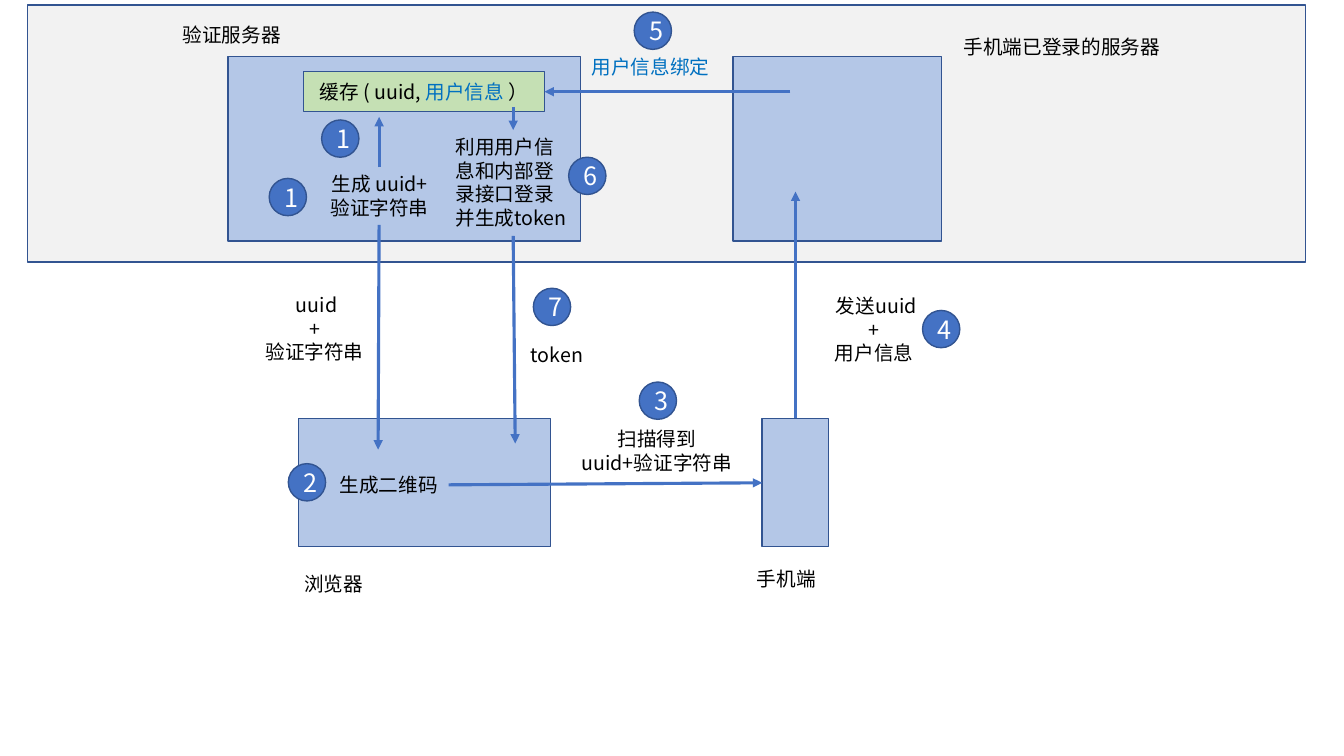
from pptx import Presentation
from pptx.dml.color import RGBColor
from pptx.enum.shapes import MSO_CONNECTOR as Connector, MSO_SHAPE as Preset
from pptx.enum.text import MSO_ANCHOR as Anchor, PP_ALIGN as Align
from pptx.oxml.ns import qn
from pptx.util import Inches, Pt
from lxml import etree

FONT = "Noto Sans CJK SC"
COLORS = {
    "zone": "F2F2F2", "box": "B4C7E7", "cache": "C5E0B4", "badge": "4472C4",
    "outline": "325491", "arrow": "4472C4", "text": "000000",
    "user": "0070C0", "number": "FFFFFF",
}

# Boxes: left, top, width, height, fill
BOXES = [
    (0.27, 0.05, 12.68, 2.55, "zone"),
    (2.26, 0.56, 3.5, 1.83, "box"),    # verification server
    (2.96, 4.15, 2.5, 1.27, "box"),    # browser
    (7.27, 0.56, 2.07, 1.83, "box"),   # logged-in server
    (7.56, 4.15, 0.66, 1.27, "box"),   # phone
]
CACHE = (3.01, 0.71, 2.39, 0.4, "cache")
CACHE_RUNS = [("缓存 ( uuid, ", "text"), ("用户信息 ", "user"), ("）", "text")]

# Labels: left, top, width, height, lines, alignment, color
LABELS = [
    (3.05, 1.66, 1.43, 0.57, ["生成 uuid+", "验证字符串"], Align.CENTER, "text"),
    (2.35, 2.86, 1.54, 0.81, [" uuid", "+", "验证字符串"], Align.CENTER, "text"),
    (3.27, 4.64, 1.18, 0.34, ["生成二维码"], Align.LEFT, "text"),
    (5.38, 4.19, 2.27, 0.57, ["扫描得到", "uuid+验证字符串"], Align.CENTER, "text"),
    (7.9, 2.87, 1.54, 0.81, [" 发送uuid", "+", "用户信息"], Align.CENTER, "text"),
    (5.77, 0.5, 1.86, 0.34, ["用户信息绑定"], Align.LEFT, "user"),
    (2.92, 5.62, 0.96, 0.34, ["浏览器"], Align.LEFT, "text"),
    (7.41, 5.58, 0.96, 0.34, ["手机端"], Align.LEFT, "text"),
    (9.46, 0.3, 2.71, 0.34, ["手机端已登录的服务器"], Align.LEFT, "text"),
    (1.08, 0.18, 2.44, 0.34, ["验证服务器"], Align.CENTER, "text"),
    (4.42, 1.29, 1.33, 1.04, ["利用用户信息和内部登录接口登录并生成token"], Align.LEFT, "text"),
    (4.88, 3.35, 1.29, 0.34, ["token"], Align.CENTER, "text"),
]

# Arrows: start x, start y, end x, end y
ARROWS = [
    (3.76, 2.23, 3.75, 4.46),
    (4.45, 4.81, 7.56, 4.79),
    (7.89, 4.15, 7.89, 1.9),
    (7.84, 0.91, 5.4, 0.91),
    (3.76, 1.66, 3.76, 1.16),
    (5.09, 1.06, 5.09, 1.29),
    (5.09, 2.34, 5.11, 4.4),
]

# Step badges: number, left, top
BADGE_SIZE = 0.37
BADGES = [
    ("1", 2.67, 1.77), ("1", 3.19, 1.19), ("2", 2.86, 4.6), ("3", 6.34, 3.79),
    ("4", 9.15, 3.08), ("5", 6.29, 0.12), ("6", 5.64, 1.56), ("7", 5.29, 2.86),
]


def color(name):
    return RGBColor.from_string(COLORS[name])


def format_run(run, size, color_name):
    run.font.size = Pt(size)
    run.font.name = FONT
    run.font.color.rgb = color(color_name)
    east_asian = etree.SubElement(run.font._element, qn("a:ea"))
    east_asian.set("typeface", FONT)


def add_box(slide, preset, left, top, width, height, fill):
    shape = slide.shapes.add_shape(
        preset, Inches(left), Inches(top), Inches(width), Inches(height))
    shape.shadow.inherit = False
    shape.fill.solid()
    shape.fill.fore_color.rgb = color(fill)
    shape.line.color.rgb = color("outline")
    shape.line.width = Pt(1)
    return shape


def add_centered_runs(shape, runs, size):
    shape.text_frame.vertical_anchor = Anchor.MIDDLE
    paragraph = shape.text_frame.paragraphs[0]
    paragraph.alignment = Align.CENTER
    for text, color_name in runs:
        run = paragraph.add_run()
        run.text = text
        format_run(run, size, color_name)


def add_label(slide, left, top, width, height, lines, alignment, color_name):
    label = slide.shapes.add_textbox(
        Inches(left), Inches(top), Inches(width), Inches(height))
    label.text_frame.word_wrap = True
    label.text_frame.text = "\n".join(lines)
    for paragraph in label.text_frame.paragraphs:
        paragraph.alignment = alignment
        for run in paragraph.runs:
            format_run(run, 14, color_name)


def add_arrow(slide, *ends):
    arrow = slide.shapes.add_connector(
        Connector.STRAIGHT, *[Inches(value) for value in ends])
    arrow.line.color.rgb = color("arrow")
    arrow.line.width = Pt(2.25)
    tail = etree.SubElement(arrow.line._get_or_add_ln(), qn("a:tailEnd"))
    tail.set("type", "triangle")
    etree.SubElement(arrow._element.spPr, qn("a:effectLst"))


def main():
    presentation = Presentation()
    presentation.slide_width = Inches(13.33)
    presentation.slide_height = Inches(7.5)
    slide = presentation.slides.add_slide(presentation.slide_layouts[6])

    # Servers, browser, phone and cache
    for box in BOXES:
        add_box(slide, Preset.RECTANGLE, *box)
    cache = add_box(slide, Preset.RECTANGLE, *CACHE)
    add_centered_runs(cache, CACHE_RUNS, 14)

    # Flow
    for arrow in ARROWS:
        add_arrow(slide, *arrow)
    for label in LABELS:
        add_label(slide, *label)

    # Step numbers
    for number, left, top in BADGES:
        badge = add_box(slide, Preset.OVAL, left, top, BADGE_SIZE, BADGE_SIZE, "badge")
        add_centered_runs(badge, [(number, "number")], 18)

    presentation.save("out.pptx")


if __name__ == "__main__":
    main()
